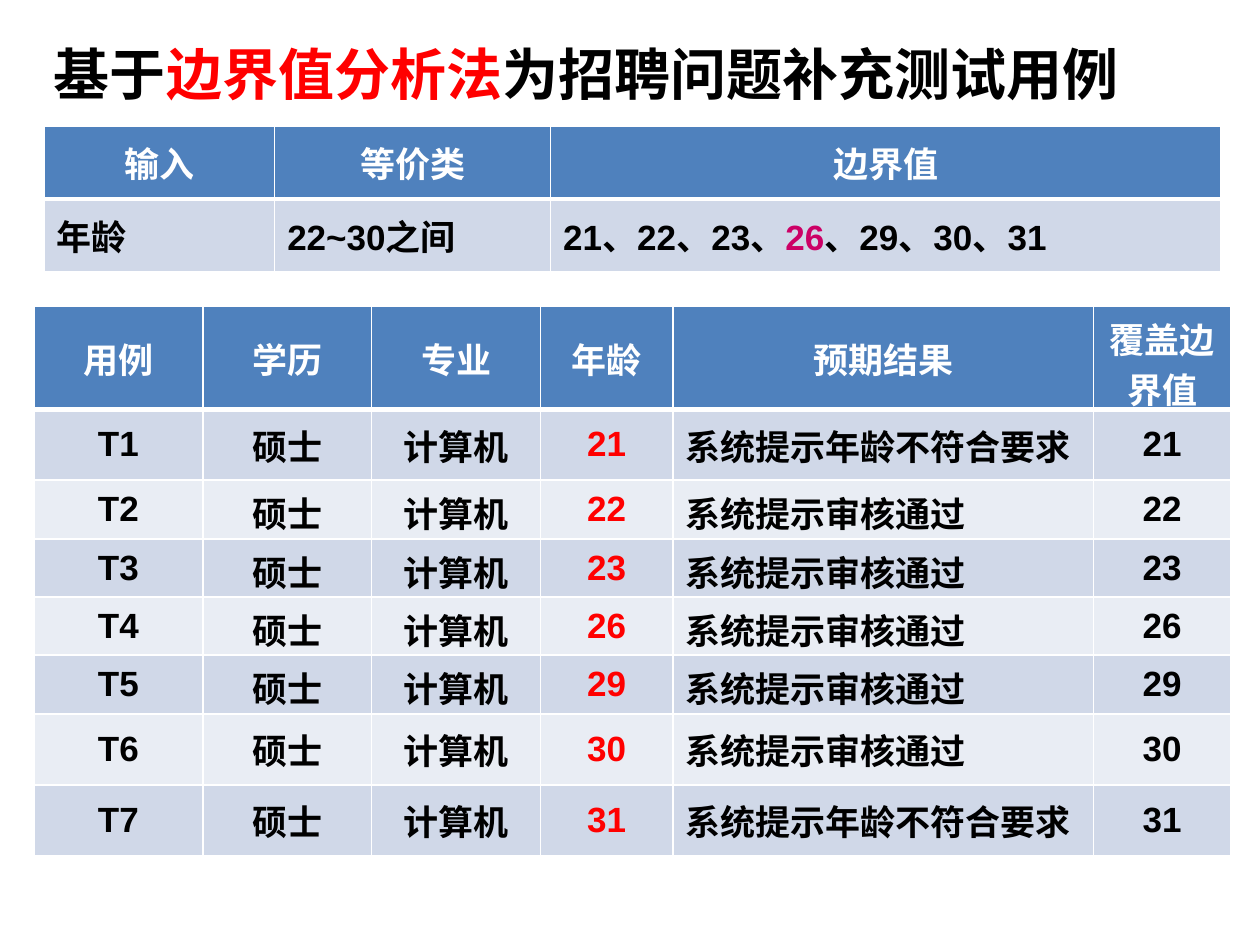
"""Build a slide of boundary value test cases for the recruitment problem."""
from lxml.etree import SubElement
from pptx import Presentation
from pptx.dml.color import RGBColor
from pptx.enum.text import MSO_ANCHOR as Anchor, PP_ALIGN as Align
from pptx.oxml.ns import qn
from pptx.util import Inches, Pt

COLORS = {
    "black": "000000", "white": "FFFFFF", "red": "FF0000", "magenta": "CC0066",
    "header": "4F81BD", "dark_band": "D0D8E8", "light_band": "E9EDF4",
}
CJK_FONT = "Noto Sans CJK JP"


def rgb(name):
    return RGBColor.from_string(COLORS[name])


def add_spacing(para, tag, percent):
    spacing = SubElement(para._p.get_or_add_pPr(), qn(tag))
    SubElement(spacing, qn("a:spcPct"), val=str(percent * 1000))


def write(frame, spans, size=20, font="Arial", align=Align.LEFT,
          line=None, before=0, after=0):
    para = frame.paragraphs[0]
    para.alignment = align
    if line:
        para.line_spacing = line
    for tag, percent in (("a:spcBef", before), ("a:spcAft", after)):
        if percent:
            add_spacing(para, tag, percent)
    for text, color in spans:
        span = para.add_run()
        span.text = text
        span.font.size = Pt(size)
        span.font.bold = True
        span.font.name = font
        span.font.color.rgb = rgb(color)
        SubElement(span._r.get_or_add_rPr(), qn("a:ea"), typeface=CJK_FONT)


def add_borders(cell, top, bottom):
    properties = cell._tc.get_or_add_tcPr()
    for side, width in (("L", 1), ("R", 1), ("T", top), ("B", bottom)):
        border = SubElement(properties, qn(f"a:ln{side}"), w=str(Pt(width)))
        fill = SubElement(border, qn("a:solidFill"))
        SubElement(fill, qn("a:srgbClr"), val=COLORS["white"])


def fill_cell(cell, spans, row, align, before):
    add_borders(cell, top=3 if row == 1 else 1, bottom=3 if row == 0 else 1)
    bands = ("light_band", "dark_band")
    cell.fill.solid()
    cell.fill.fore_color.rgb = rgb(bands[row % 2] if row else "header")
    cell.vertical_anchor = Anchor.MIDDLE
    write(cell.text_frame, spans, align=align, before=before)


def add_grid(page, left, top, widths, heights, headers, body,
             left_columns, plain_rows=()):
    table = page.shapes.add_table(
        len(heights), len(widths), Inches(left), Inches(top),
        Inches(sum(widths)), Inches(sum(heights))).table
    for column, width in zip(table.columns, widths):
        column.width = Inches(width)
    for row, height in zip(table.rows, heights):
        row.height = Inches(height)
    rows = [[[(text, "white")] for text in headers]] + body
    for r, row in enumerate(rows):
        for c, spans in enumerate(row):
            align = Align.LEFT if r and c in left_columns else Align.CENTER
            fill_cell(table.cell(r, c), spans, r, align, 0 if r in plain_rows else 20)


def add_title(page):
    box = page.shapes.add_textbox(
        Inches(0.33), Inches(0.21), Inches(9.21), Inches(5.51))
    box.text_frame.word_wrap = True
    write(box.text_frame,
          [("基于", "black"), ("边界值分析法", "red"),
           ("为招聘问题补充测试用例", "black")],
          size=32, font=CJK_FONT, line=1.1, before=5, after=5)


def case_row(number, age):
    result = "系统提示审核通过" if 22 <= age <= 30 else "系统提示年龄不符合要求"
    return [[(f"T{number}", "black")], [("硕士", "black")], [("计算机", "black")],
            [(str(age), "red")], [(result, "black")], [(str(age), "black")]]


def main():
    deck = Presentation()
    deck.slide_width, deck.slide_height = Inches(10), Inches(7.5)
    page = deck.slides.add_slide(deck.slide_layouts[6])
    add_title(page)
    ages = (21, 22, 23, 26, 29, 30, 31)
    add_grid(page, 0.27, 2.43, [1.34, 1.34, 1.34, 1.05, 3.34, 1.09],
             [0.82, 0.56, 0.47, 0.46, 0.46, 0.47, 0.56, 0.56],
             ["用例", "学历", "专业", "年龄", "预期结果", "覆盖边界值"],
             [case_row(number, age) for number, age in enumerate(ages, 1)],
             left_columns=(4,), plain_rows=(7,))
    boundaries = [("21、22、23、", "black"), ("26", "magenta"),
                  ("、29、30、31", "black")]
    add_grid(page, 0.35, 1, [1.83, 2.19, 5.32], [0.58, 0.58],
             ["输入", "等价类", "边界值"],
             [[[("年龄", "black")], [("22~30之间", "black")], boundaries]],
             left_columns=(0, 1, 2))
    deck.save("out.pptx")


main()
